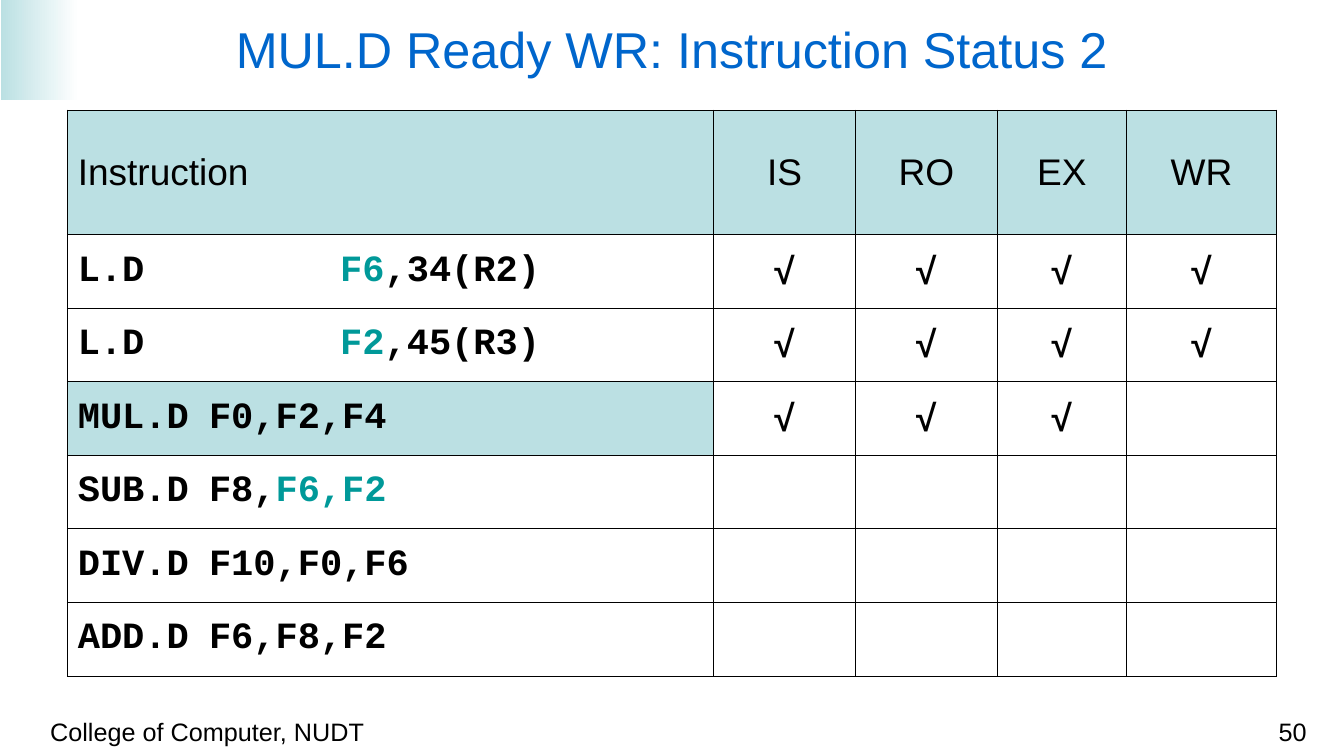
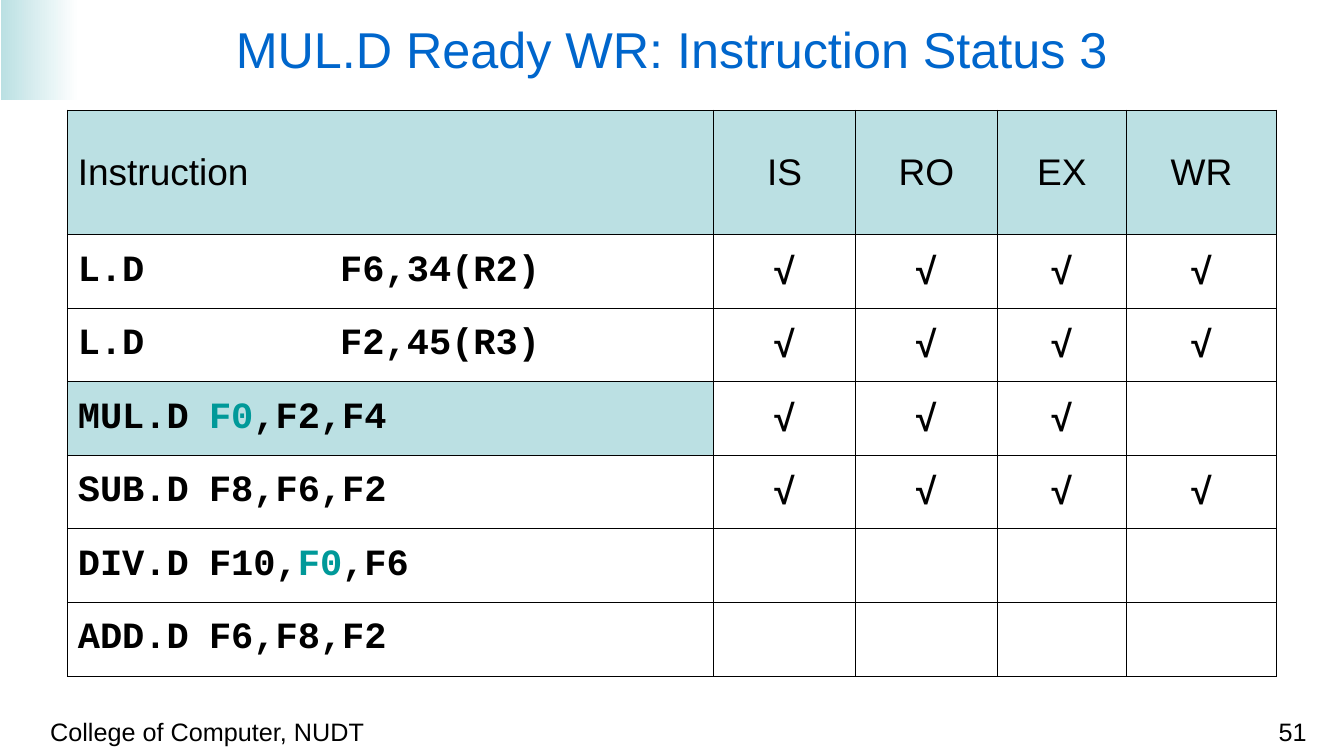
import pptx
import pptx.dml.color
import pptx.enum.shapes
import pptx.enum.text
import pptx.oxml.ns
import pptx.util
from lxml import etree

Inches = pptx.util.Inches
Pt = pptx.util.Pt
ALIGN = pptx.enum.text.PP_ALIGN
ANCHOR = pptx.enum.text.MSO_ANCHOR
qn = pptx.oxml.ns.qn

BLACK, WHITE, PALE, TEAL, BLUE = "000000", "FFFFFF", "BBE0E3", "009999", "0066CC"
TAB_STOPS = (1.23, 2.46)
COLUMN_WIDTHS = (6.06, 1.33, 1.33, 1.21, 1.41)
HEADER_HEIGHT, ROW_HEIGHT = 1.17, 0.69
HEADINGS = ("Instruction", "IS", "RO", "EX", "WR")
CURRENT = "MUL.D"

# Each instruction is paired with its number of finished stages; bars enclose teal operands.
STATUS_2 = (
    ("L.D\t\t|F6|,34(R2)", 4),
    ("L.D\t\t|F2|,45(R3)", 4),
    ("MUL.D\tF0,F2,F4", 3),
    ("SUB.D\tF8,|F6,F2|", 0),
    ("DIV.D\tF10,F0,F6", 0),
    ("ADD.D\tF6,F8,F2", 0),
)
STATUS_3 = (
    ("L.D\t\tF6,34(R2)", 4),
    ("L.D\t\tF2,45(R3)", 4),
    ("MUL.D\t|F0|,F2,F4", 3),
    ("SUB.D\tF8,F6,F2", 4),
    ("DIV.D\tF10,|F0|,F6", 0),
    ("ADD.D\tF6,F8,F2", 0),
)


def color(value):
    return pptx.dml.color.RGBColor.from_string(value)


def set_font(paragraph, size, name="Arial", ink=BLACK, bold=False):
    font = paragraph.font
    font.name, font.size, font.bold = name, Pt(size), bold
    font.color.rgb = color(ink)


def add_text(page, text, place, size, ink=BLACK, align=ALIGN.LEFT, anchor=ANCHOR.TOP):
    box = page.shapes.add_textbox(*map(Inches, place))
    frame = box.text_frame
    frame.word_wrap = True
    frame.vertical_anchor = anchor
    frame.margin_left = frame.margin_right = Inches(0.12)
    frame.margin_top = frame.margin_bottom = Inches(0.06)
    paragraph = frame.paragraphs[0]
    paragraph.text = text
    paragraph.alignment = align
    set_font(paragraph, size, ink=ink)


def add_band(page):
    band = page.shapes.add_shape(
        pptx.enum.shapes.MSO_SHAPE.RECTANGLE,
        Inches(0.01), Inches(0), Inches(0.73), Inches(0.94))
    band.shadow.inherit = False
    band.line.fill.background()
    band.fill.gradient()
    band.fill.gradient_angle = 0
    for stop, ink in zip(band.fill.gradient_stops, (PALE, WHITE)):
        stop.color.rgb = color(ink)


def add_page(deck, title, number):
    page = deck.slides.add_slide(deck.slide_layouts[6])
    add_band(page)
    add_text(page, "College of Computer, NUDT", (0.35, 6.66, 4.66, 0.28), 17)
    add_text(page, str(number), (11.06, 6.66, 1.31, 0.28), 17, align=ALIGN.RIGHT)
    add_text(page, title, (0.25, 0.12, 12.1, 0.67), 34, BLUE, ALIGN.CENTER, ANCHOR.MIDDLE)
    return page


def style_cell(cell, shaded):
    properties = cell._tc.get_or_add_tcPr()
    for side in ("a:lnL", "a:lnR", "a:lnT", "a:lnB"):
        line = etree.SubElement(properties, qn(side), w=str(Pt(0.45)))
        solid = etree.SubElement(line, qn("a:solidFill"))
        etree.SubElement(solid, qn("a:srgbClr"), val=BLACK)
    if shaded:
        cell.fill.solid()
        cell.fill.fore_color.rgb = color(PALE)
    else:
        cell.fill.background()
    cell.vertical_anchor = ANCHOR.MIDDLE


def add_tab_stops(paragraph):
    stops = etree.SubElement(paragraph._p.get_or_add_pPr(), qn("a:tabLst"))
    for position in TAB_STOPS:
        etree.SubElement(stops, qn("a:tab"), pos=str(Inches(position)), algn="l")


def fill_cell(cell, text, align=ALIGN.LEFT, name="Arial", bold=False, shaded=False):
    style_cell(cell, shaded)
    paragraph = cell.text_frame.paragraphs[0]
    paragraph.alignment = align
    if "\t" in text:
        add_tab_stops(paragraph)
    set_font(paragraph, 25, name, bold=bold)
    for index, part in enumerate(text.split("|")):
        if part:
            span = paragraph.add_run()
            span.text = part
            if index % 2:
                span.font.color.rgb = color(TEAL)


def add_status_table(page, instructions):
    height = HEADER_HEIGHT + ROW_HEIGHT * len(instructions)
    table = page.shapes.add_table(
        len(instructions) + 1, len(HEADINGS), Inches(0.63), Inches(1.03),
        Inches(sum(COLUMN_WIDTHS)), Inches(height)).table
    table.first_row = table.horz_banding = False
    for column, width in zip(table.columns, COLUMN_WIDTHS):
        column.width = Inches(width)
    for index, row in enumerate(table.rows):
        row.height = Inches(ROW_HEIGHT if index else HEADER_HEIGHT)
    for index, heading in enumerate(HEADINGS):
        align = ALIGN.CENTER if index else ALIGN.LEFT
        fill_cell(table.cell(0, index), heading, align, shaded=True)
    for row, (instruction, finished) in enumerate(instructions, 1):
        fill_cell(table.cell(row, 0), instruction, name="Courier New", bold=True,
                  shaded=instruction.startswith(CURRENT))
        for stage in range(1, len(HEADINGS)):
            mark = "√" if stage <= finished else ""
            fill_cell(table.cell(row, stage), mark, ALIGN.CENTER, bold=True)


def main():
    deck = pptx.Presentation()
    deck.slide_width, deck.slide_height = Inches(12.6), Inches(7.09)
    for step, instructions in enumerate((STATUS_2, STATUS_3), 2):
        page = add_page(deck, f"MUL.D Ready WR: Instruction Status {step}", 48 + step)
        add_status_table(page, instructions)
    deck.save("out.pptx")


if __name__ == "__main__":
    main()
